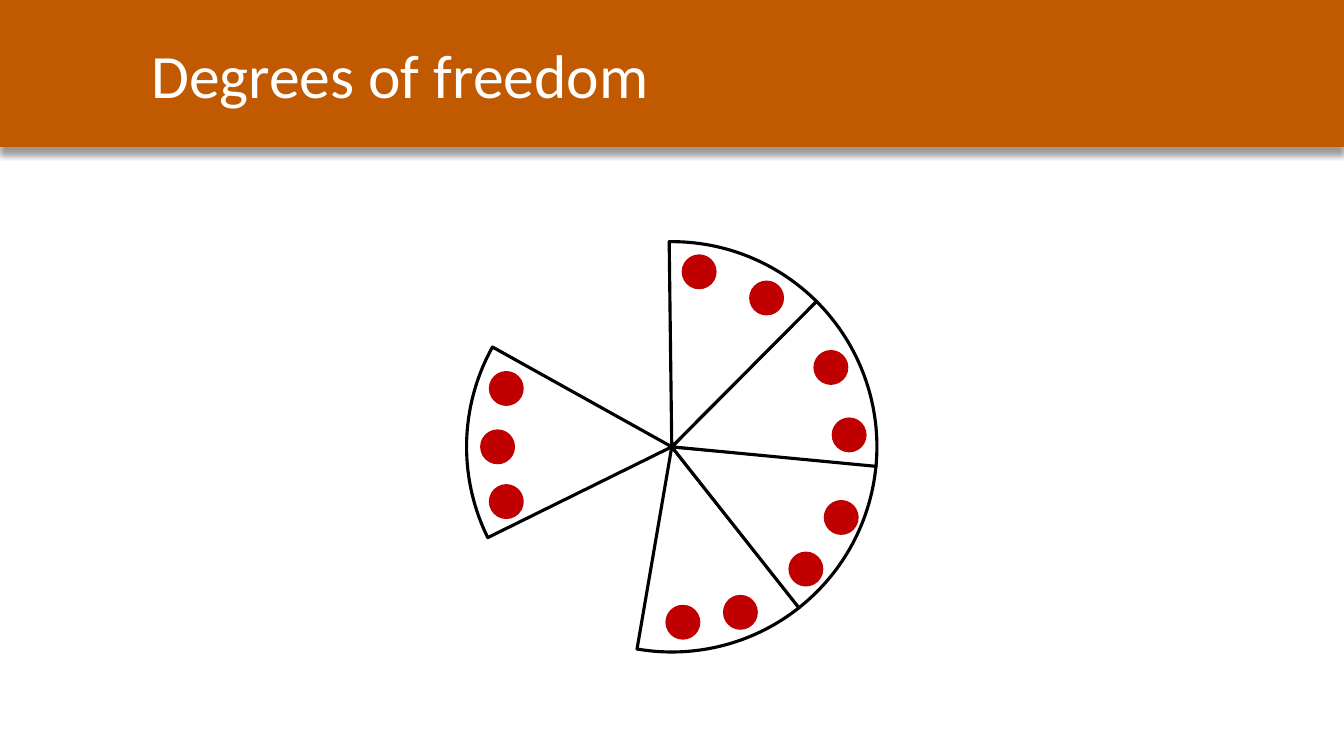
from lxml import etree
from pptx import Presentation, util as u
from pptx.dml.color import RGBColor
from pptx.enum import shapes, text
from pptx.oxml.ns import qn

ORANGE = RGBColor(0xC1, 0x59, 0x00)
RED = RGBColor(0xC0, 0x00, 0x00)
WHITE = RGBColor(0xFF, 0xFF, 0xFF)
BLACK = RGBColor(0x00, 0x00, 0x00)

PAGE_WIDTH, PAGE_HEIGHT = 33.87, 19.05
PIE_CENTER = (16.93, 11.26)
PIE_SIZE, DOT_SIZE = 10.34, 0.88

SLICES = [
    (153.73, 209.11, [(12.76, 9.79), (12.54, 11.26), (12.76, 12.64)]),
    (51.63, 99.74, [(17.21, 15.68), (18.66, 15.43)]),
    (5.07, 51.69, [(20.31, 14.34), (21.2, 13.04)]),
    (314.82, 5.47, [(21.4, 10.96), (20.94, 9.26)]),
    (269.28, 314.88, [(17.62, 6.85), (19.32, 7.51)]),
]


class Painter:
    title_format = {"name": "Calibri", "size": u.Pt(44)}

    def __init__(self, page):
        self.page = page

    def shape(self, parent, kind, left, top, width, height, fill, outline=None):
        item = parent.shapes.add_shape(
            kind, u.Cm(left), u.Cm(top), u.Cm(width), u.Cm(height))
        item.shadow.inherit = False
        item.fill.solid()
        item.fill.fore_color.rgb = fill
        if outline is None:
            item.line.fill.background()
        else:
            item.line.color.rgb = outline
            item.line.width = u.Pt(2.25)
        return item

    def round(self, parent, kind, center, size, fill, outline=None):
        left, top = (middle - size / 2 for middle in center)
        return self.shape(parent, kind, left, top, size, size, fill, outline)

    def banner(self, height):
        band = self.shape(self.page, shapes.MSO_SHAPE.RECTANGLE,
                          0, 0, PAGE_WIDTH, height, ORANGE)
        effects = band._element.spPr.find(qn("a:effectLst"))
        shadow = etree.SubElement(
            effects, qn("a:outerShdw"), blurRad=str(u.Pt(4)),
            dist=str(u.Pt(6)), dir="5400000", algn="t", rotWithShape="0")
        color = etree.SubElement(shadow, qn("a:srgbClr"), val=str(BLACK))
        etree.SubElement(color, qn("a:alpha"), val="40000")

    def title(self, words, left, top, width, height):
        box = self.page.shapes.add_textbox(
            u.Cm(left), u.Cm(top), u.Cm(width), u.Cm(height))
        frame = box.text_frame
        frame.word_wrap = True
        frame.vertical_anchor = text.MSO_ANCHOR.MIDDLE
        span = frame.paragraphs[0].add_run()
        span.text = words
        for name, value in self.title_format.items():
            setattr(span.font, name, value)
        span.font.color.rgb = WHITE

    def slice(self, start, end, dots):
        group = self.page.shapes.add_group_shape()
        wedge = self.round(group, shapes.MSO_SHAPE.PIE,
                           PIE_CENTER, PIE_SIZE, WHITE, BLACK)
        for index, degrees in enumerate((start, end)):
            wedge.adjustments[index] = degrees * 0.6
        for center in dots:
            self.round(group, shapes.MSO_SHAPE.OVAL, center, DOT_SIZE, RED)


def main():
    deck = Presentation()
    deck.slide_width = u.Cm(PAGE_WIDTH)
    deck.slide_height = u.Cm(PAGE_HEIGHT)
    painter = Painter(deck.slides.add_slide(deck.slide_layouts[6]))
    painter.banner(3.7)
    painter.title("Degrees of freedom", 3.56, 0.3, 30.31, 3.1)
    for start, end, dots in SLICES:
        painter.slice(start, end, dots)
    deck.save("out.pptx")


if __name__ == "__main__":
    main()
